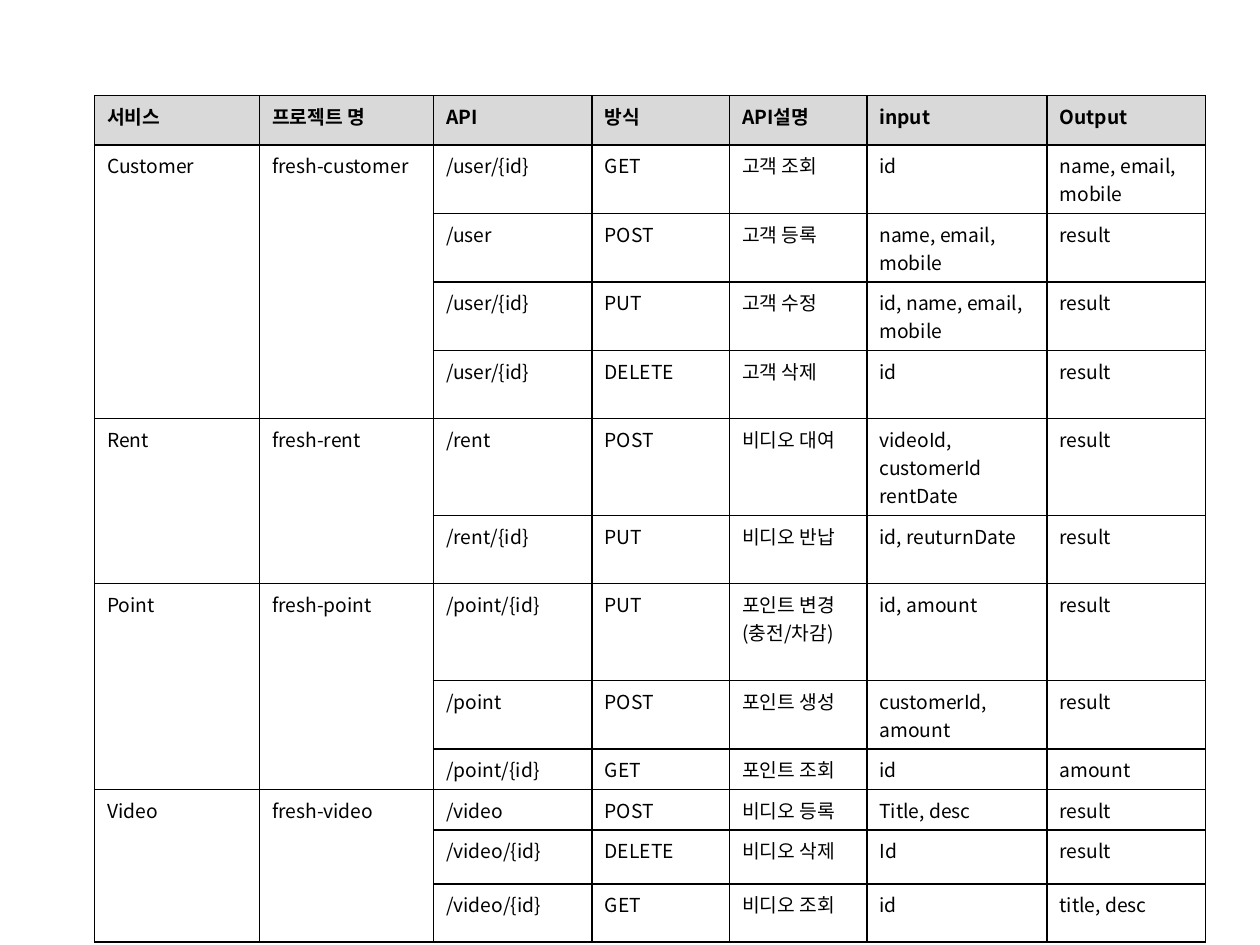
import pptx
import pptx.util
import pptx.dml.color
import pptx.oxml.ns
from lxml import etree

Inches, Pt = pptx.util.Inches, pptx.util.Pt
COLORS = {"text": "000000", "border": "000000", "header": "D9D9D9"}


class SlideBuilder:
    font_name = "Noto Sans CJK KR"
    font_size = 11
    border_width = 1

    def __init__(self, slide):
        self.slide = slide

    def color(self, name):
        return pptx.dml.color.RGBColor.from_string(COLORS[name])

    def element(self, parent, tag, **attributes):
        return etree.SubElement(parent, pptx.oxml.ns.qn(tag), attributes)

    def borders(self, cell):
        properties = cell._tc.get_or_add_tcPr()
        for side in "LRTB":
            line = self.element(properties, "a:ln" + side, w=str(Pt(self.border_width)))
            fill = self.element(line, "a:solidFill")
            self.element(fill, "a:srgbClr", val=COLORS["border"])

    def cell(self, cell, text, header):
        self.borders(cell)
        if header:
            cell.fill.solid()
            cell.fill.fore_color.rgb = self.color("header")
        else:
            cell.fill.background()
        cell.text = text
        for paragraph in cell.text_frame.paragraphs:
            for run in paragraph.runs:
                font = run.font
                font.name, font.size, font.bold = self.font_name, Pt(self.font_size), header
                font.color.rgb = self.color("text")
                self.element(run._r.get_or_add_rPr(), "a:ea", typeface=self.font_name)
            # Keeps cells covered by a merge from stretching their row
            self.element(paragraph._p, "a:endParaRPr", sz=str(self.font_size * 100))

    def table(self, left, top, widths, heights, rows):
        shape = self.slide.shapes.add_table(
            len(rows), len(widths), Inches(left), Inches(top),
            Inches(sum(widths)), Inches(sum(heights)))
        table = shape.table
        table.first_row = table.horz_banding = False
        for column, width in zip(table.columns, widths):
            column.width = Inches(width)
        for row, height in zip(table.rows, heights):
            row.height = Inches(height)
        for row_index, row in enumerate(rows):
            for column_index, text in enumerate(row):
                self.cell(table.cell(row_index, column_index), text, row_index == 0)
        return table


presentation = pptx.Presentation()
presentation.slide_width, presentation.slide_height = Inches(10), Inches(7.5)
builder = SlideBuilder(presentation.slides.add_slide(presentation.slide_layouts[6]))

# Service, project and its API calls
HEADER = ["서비스", "프로젝트 명", "API", "방식", "API설명", "input", "Output"]
SERVICES = [
    ("Customer", "fresh-customer", [
        ("/user/{id}", "GET", "고객 조회", "id", "name, email, mobile"),
        ("/user", "POST", "고객 등록", "name, email, mobile", "result"),
        ("/user/{id}", "PUT", "고객 수정", "id, name, email, mobile", "result"),
        ("/user/{id}", "DELETE", "고객 삭제 ", "id", "result"),
    ]),
    ("Rent", "fresh-rent", [
        ("/rent", "POST", "비디오 대여", "videoId, customerId\nrentDate", "result"),
        ("/rent/{id}", "PUT", "비디오 반납", "id, reuturnDate", "result"),
    ]),
    ("Point", "fresh-point", [
        ("/point/{id}", "PUT", "포인트 변경(충전/차감)", "id, amount", "result"),
        ("/point", "POST", "포인트 생성", "customerId, amount", "result"),
        ("/point/{id}", "GET", "포인트 조회", "id", "amount"),
    ]),
    ("Video", "fresh-video", [
        ("/video", "POST", "비디오 등록", "Title, desc", "result"),
        ("/video/{id}", "DELETE", "비디오 삭제", "Id", "result"),
        ("/video/{id}", "GET", "비디오 조회", "id", "title, desc"),
    ]),
]
rows = [HEADER]
for service, project, calls in SERVICES:
    for index, call in enumerate(calls):
        rows.append([service, project, *call] if index == 0 else ["", "", *call])

# API table
widths = [1.31, 1.38, 1.26, 1.09, 1.09, 1.43, 1.26]
heights = [0.39] + [0.54] * 4 + [0.77, 0.54, 0.77, 0.54, 0.32, 0.32, 0.43, 0.46]
api_table = builder.table(0.75, 0.76, widths, heights, rows)

# Service and project cells span all calls of the service
first = 1
for service, project, calls in SERVICES:
    last = first + len(calls) - 1
    for column in (0, 1):
        api_table.cell(first, column).merge(api_table.cell(last, column))
    first = last + 1

presentation.save("out.pptx")
